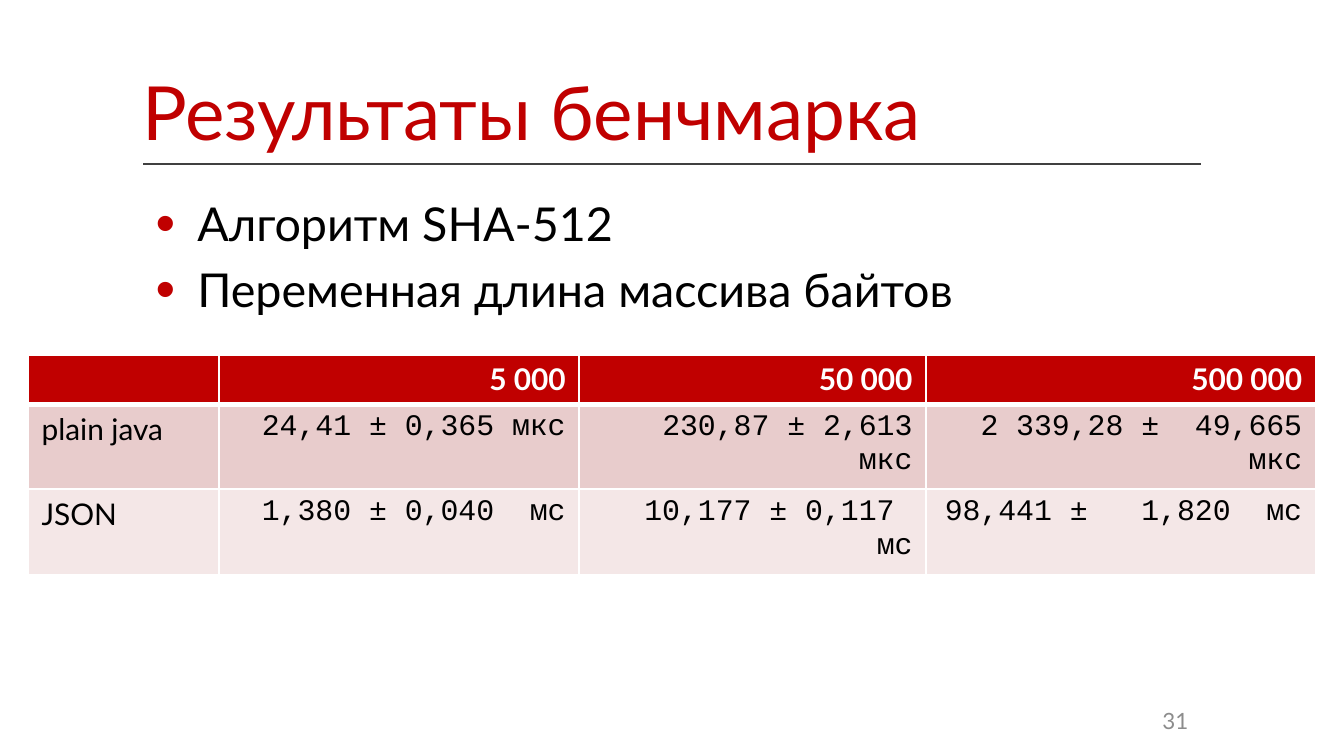
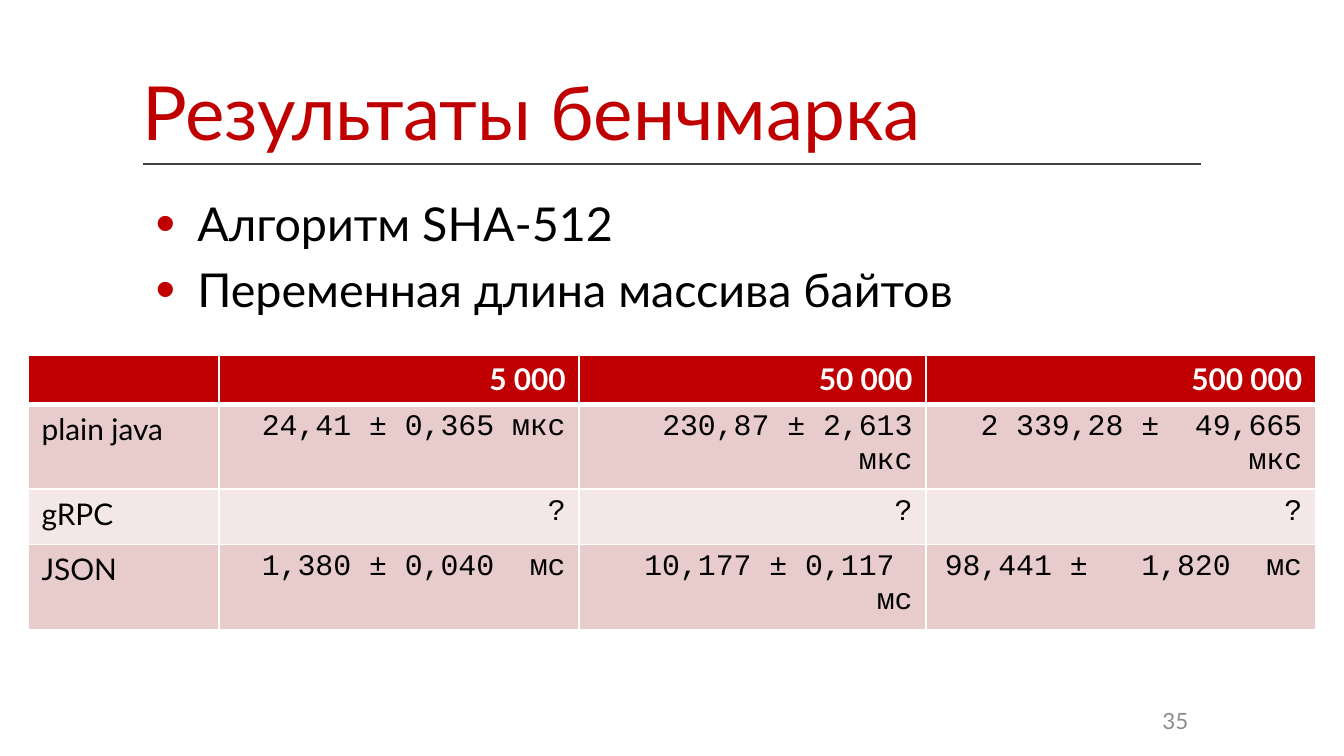
from lxml import etree
from pptx import Presentation
from pptx.dml.color import RGBColor
from pptx.enum.text import MSO_ANCHOR, PP_ALIGN
from pptx.oxml.ns import qn
from pptx.util import Inches, Pt

LEFT, RIGHT = PP_ALIGN.LEFT, PP_ALIGN.RIGHT
MIDDLE = MSO_ANCHOR.MIDDLE
RED, WHITE, BLACK, GRAY, DARK = "C00000", "FFFFFF", "000000", "8C8C8C", "404040"
BANDS = ["E8CCCC", "F4E7E7"]
SANS, MONO = "Lato", "Courier New"
EDGE, WIDE = 1.06, 7.88
COLS = [1.42, 2.68, 2.58, 2.9]
HEAD_H, ROW_H, TITLE_H = 0.36, 0.41, 0.77

TITLE = "Результаты бенчмарка"
POINTS = ["Алгоритм SHA-512", "Переменная длина массива байтов"]
HEAD = ["", "5 000", "50 000", "500 000"]
PLAIN = ["plain java", "24,41 ± 0,365 мкс", "230,87 ± 2,613 мкс", "2 339,28 ±  49,665 мкс"]
GRPC = ["gRPC", "?", "?", "?"]
JSON = ["JSON", "1,380 ± 0,040  мс", "10,177 ± 0,117  мс", "98,441 ±   1,820  мс"]
PAGES = [("31", [HEAD, PLAIN, JSON]), ("35", [HEAD, PLAIN, GRPC, JSON])]


def write(para, text, size=16, font=SANS, color=BLACK, bold=False, align=LEFT, bullet=None):
    para.alignment = align
    if text:
        run = para.add_run()
        run.text = text
        run.font.size, run.font.name, run.font.bold = Pt(size), font, bold
        run.font.color.rgb = RGBColor.from_string(color)
    else:
        etree.SubElement(para._p, qn("a:endParaRPr"), sz=str(size * 100))
    if bullet:
        para.space_before = Pt(5.5)
        props = para._p.get_or_add_pPr()
        props.set("marL", str(Inches(0.31)))
        props.set("indent", str(-Inches(0.31)))
        tint = etree.SubElement(props, qn("a:buClr"))
        etree.SubElement(tint, qn("a:srgbClr"), val=bullet)
        etree.SubElement(props, qn("a:buSzPct"), val="120000")
        etree.SubElement(props, qn("a:buFont"), typeface="Arial")
        etree.SubElement(props, qn("a:buChar"), char="•")


def border(cell, color=WHITE, base=1):
    props = cell._tc.get_or_add_tcPr()
    for side in "LRTB":
        low = side == "B"
        line = etree.SubElement(props, qn("a:ln" + side), w=str(Pt(base if low else 1)))
        fill = etree.SubElement(line, qn("a:solidFill"))
        etree.SubElement(fill, qn("a:srgbClr"), val=color if low else WHITE)


deck = Presentation()
deck.slide_width = Inches(10)
deck.slide_height = deck.slide_width * 9 // 16

for number, rows in PAGES:
    slide = deck.slides.add_slide(deck.slide_layouts[6])
    shapes = slide.shapes

    title = shapes.add_table(1, 1, Inches(EDGE), Inches(0.45), Inches(WIDE), Inches(TITLE_H)).table
    title.first_row = title.horz_banding = False
    cell = title.cell(0, 0)
    cell.margin_left = 0
    border(cell, DARK, 0.75)
    cell.fill.background()
    write(cell.text_frame.paragraphs[0], TITLE, size=40, color=RED)

    frame = shapes.add_textbox(Inches(EDGE), Inches(1.4), Inches(WIDE), Inches(3.23)).text_frame
    frame.word_wrap = True
    for i, point in enumerate(POINTS):
        para = frame.add_paragraph() if i else frame.paragraphs[0]
        write(para, point, size=25, bullet=RED)

    frame = shapes.add_textbox(Inches(7.17), Inches(5.21), Inches(1.77), Inches(0.3)).text_frame
    frame.word_wrap = True
    frame.vertical_anchor = MIDDLE
    write(frame.paragraphs[0], number, size=12, color=GRAY, align=RIGHT)

    high = HEAD_H + ROW_H * (len(rows) - 1)
    table = shapes.add_table(len(rows), len(COLS), Inches(0.21), Inches(2.64),
                             Inches(sum(COLS)), Inches(high)).table
    for col, width in zip(table.columns, COLS):
        col.width = Inches(width)
    for r, row in enumerate(rows):
        table.rows[r].height = Inches(ROW_H if r else HEAD_H)
        for c, text in enumerate(row):
            cell = table.cell(r, c)
            border(cell, base=1 if r else 3)
            cell.fill.solid()
            cell.fill.fore_color.rgb = RGBColor.from_string(BANDS[(r - 1) % 2] if r else RED)
            write(cell.text_frame.paragraphs[0], text,
                  font=MONO if r and c else SANS,
                  color=BLACK if r else WHITE,
                  bold=not r, align=RIGHT if c else LEFT)

deck.save("out.pptx")
